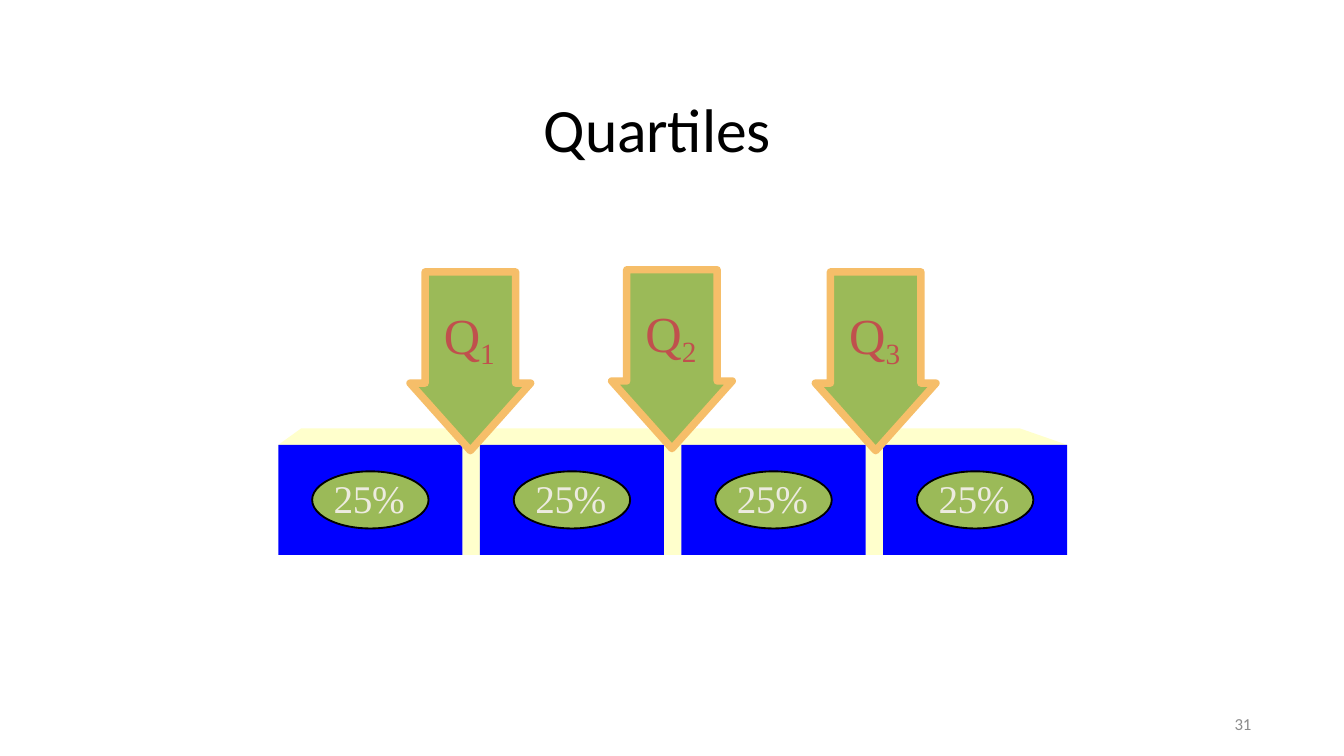
from lxml import etree
from pptx import Presentation
from pptx import util as u
from pptx.dml.color import RGBColor
from pptx.enum import shapes, text
from pptx.oxml import ns

BLACK = RGBColor(0x00, 0x00, 0x00)
GRAY = RGBColor(0x8C, 0x8C, 0x8C)
CREAM = RGBColor(0xFF, 0xFF, 0xCC)
BLUE = RGBColor(0x00, 0x00, 0xFF)
GREEN = RGBColor(0x9B, 0xBA, 0x58)
IVORY = RGBColor(0xED, 0xEB, 0xE0)
ORANGE = RGBColor(0xF6, 0xBE, 0x69)
RED = RGBColor(0xC0, 0x50, 0x4D)

SANS = "Calibri"
SERIF = "Times New Roman"

BAR_LEFT, BAR_TOP = 5.26, 8.41
BLOCK_WIDTH, BLOCK_HEIGHT, BLOCK_STEP = 3.48, 2.08, 3.81
BLOCK_COUNT = 4
OVAL_WIDTH, OVAL_HEIGHT = 2.2, 1.08
ARROW_WIDTH, ARROW_HEIGHT = 2.28, 3.38
ARROWS = [("1", 8.89, 5.14), ("2", 12.7, 5.1), ("3", 16.55, 5.14)]


def write_text(frame, content, *, size, color, font=SERIF, subscript="",
               align=text.PP_ALIGN.CENTER, anchor=text.MSO_ANCHOR.MIDDLE,
               left=0, top=0, right=0, bottom=0, wrap=False,
               spacing=-0.2, line_spacing=None):
    frame.word_wrap = wrap
    frame.auto_size = text.MSO_AUTO_SIZE.NONE
    frame.vertical_anchor = anchor
    frame.margin_left, frame.margin_top = u.Cm(left), u.Cm(top)
    frame.margin_right, frame.margin_bottom = u.Cm(right), u.Cm(bottom)
    paragraph = frame.paragraphs[0]
    paragraph.alignment = align
    if line_spacing:
        paragraph.line_spacing = u.Pt(line_spacing)
    for part in filter(None, (content, subscript)):
        run = paragraph.add_run()
        run.text = part
        run.font.name = font
        run.font.size = u.Pt(size)
        run.font.color.rgb = color
        run._r.get_or_add_rPr().set("spc", str(round(spacing * 100)))
    if subscript:
        run._r.get_or_add_rPr().set("baseline", "-20000")


class QuartileSlide:
    def __init__(self, presentation):
        self.slide = presentation.slides.add_slide(presentation.slide_layouts[5])

    def style(self, shape, fill, line=None, line_width=1):
        shape.shadow.inherit = False
        shape.fill.solid()
        shape.fill.fore_color.rgb = fill
        if line is None:
            shape.line.fill.background()
        else:
            shape.line.color.rgb = line
            shape.line.width = u.Pt(line_width)
            etree.SubElement(shape.line._get_or_add_ln(), ns.qn("a:round"))
        return shape

    def title(self, content):
        title = self.slide.shapes.title
        title.left, title.top = u.Cm(1.75), u.Cm(0.76)
        title.width, title.height = u.Cm(21.9), u.Cm(2.77)
        write_text(title.text_frame, content, size=33, color=BLACK, font=SANS,
                   align=text.PP_ALIGN.LEFT, left=8.53, top=0.56, wrap=True,
                   spacing=-0.1)

    def page_number(self, content):
        box = self.slide.shapes.add_textbox(u.Cm(17.93), u.Cm(13.23), u.Cm(5.72), u.Cm(0.76))
        write_text(box.text_frame, content, size=9, color=GRAY, font=SANS,
                   align=text.PP_ALIGN.RIGHT, top=0.06, wrap=True, line_spacing=13.2)

    def shape(self, kind, left, top, width, height, fill, line=None, line_width=1):
        shape = self.slide.shapes.add_shape(
            kind, u.Cm(left), u.Cm(top), u.Cm(width), u.Cm(height))
        return self.style(shape, fill, line, line_width)

    def polygons(self, outlines, fill):
        outlines = [[(u.Cm(x), u.Cm(y)) for x, y in outline] for outline in outlines]
        builder = self.slide.shapes.build_freeform(*outlines[0][0])
        for index, outline in enumerate(outlines):
            if index:
                builder.move_to(*outline[0])
            builder.add_line_segments(outline[1:], close=True)
        self.style(builder.convert_to_shape(), fill)

    def backing(self):
        right = BAR_LEFT + BLOCK_STEP * (BLOCK_COUNT - 1) + BLOCK_WIDTH
        bottom = BAR_TOP + BLOCK_HEIGHT
        outlines = [[(BAR_LEFT, BAR_TOP), (5.69, 8.1), (19.28, 8.1), (right, BAR_TOP)]]
        for index in range(1, BLOCK_COUNT):
            end = BAR_LEFT + BLOCK_STEP * index
            start = end - BLOCK_STEP + BLOCK_WIDTH
            outlines.append([(start, BAR_TOP), (end, BAR_TOP), (end, bottom), (start, bottom)])
        self.polygons(outlines, CREAM)

    def block(self, left, label):
        self.shape(shapes.MSO_SHAPE.RECTANGLE, left, BAR_TOP, BLOCK_WIDTH, BLOCK_HEIGHT, BLUE)
        oval = self.shape(
            shapes.MSO_SHAPE.OVAL, left + (BLOCK_WIDTH - OVAL_WIDTH) / 2,
            BAR_TOP + (BLOCK_HEIGHT - OVAL_HEIGHT) / 2, OVAL_WIDTH, OVAL_HEIGHT, GREEN, BLACK)
        write_text(oval.text_frame, label, size=21, color=IVORY, right=0.04, bottom=0.06)

    def arrow(self, number, center, top):
        arrow = self.shape(
            shapes.MSO_SHAPE.DOWN_ARROW, center - ARROW_WIDTH / 2, top,
            ARROW_WIDTH, ARROW_HEIGHT, GREEN, ORANGE, 4)
        arrow.adjustments[0] = 0.75
        arrow.adjustments[1] = 0.56
        write_text(arrow.text_frame, "Q", subscript=number, size=27, color=RED,
                   anchor=text.MSO_ANCHOR.TOP, top=0.61, right=0.04)


def main():
    presentation = Presentation()
    presentation.slide_width = u.Cm(25.4)
    presentation.slide_height = u.Cm(14.29)
    page = QuartileSlide(presentation)
    page.title("Quartiles")
    page.page_number("31")
    page.backing()
    for index in range(BLOCK_COUNT):
        page.block(BAR_LEFT + BLOCK_STEP * index, "25%")
    for number, center, top in ARROWS:
        page.arrow(number, center, top)
    presentation.save("out.pptx")


if __name__ == "__main__":
    main()
